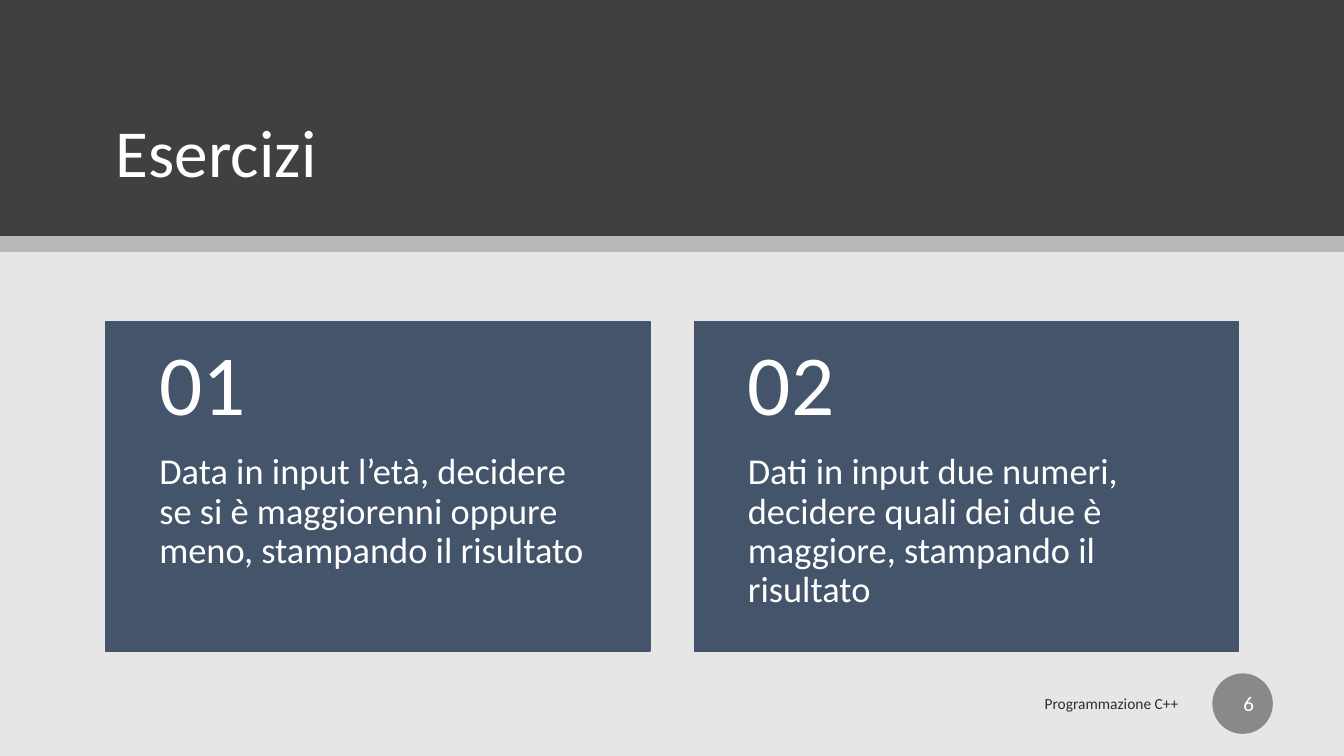
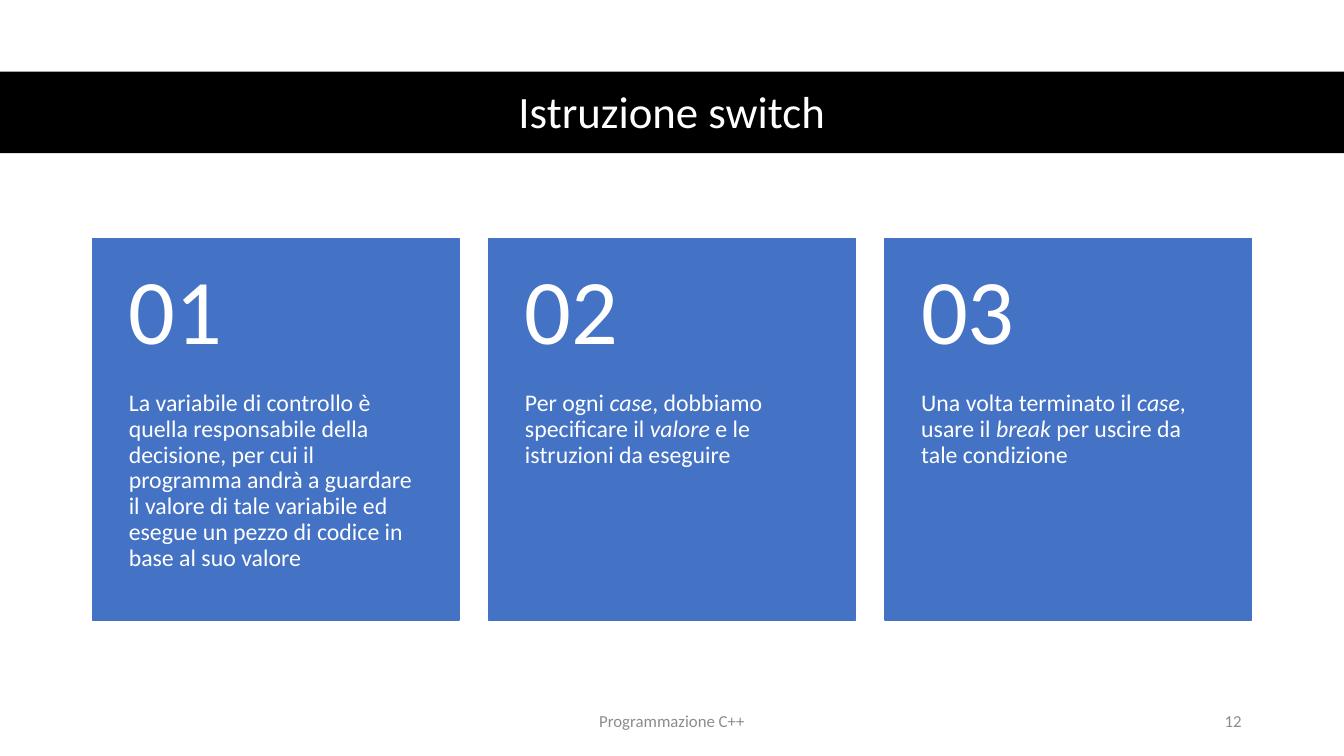
from pptx import Presentation
from pptx.dml.color import RGBColor
from pptx.enum.shapes import MSO_SHAPE as SHAPE
from pptx.enum.text import MSO_ANCHOR as ANCHOR, MSO_AUTO_SIZE as AUTO, PP_ALIGN as ALIGN
from pptx.oxml.ns import qn
from pptx.util import Pt
from lxml import etree

WIDTH, HEIGHT = 960, 540
FONT = "Calibri"
WHITE, BLACK = "FFFFFF", "000000"
PALE, CHARCOAL, GREY = "E7E6E6", "404040", "898989"
SLATE, BLUE = "44546A", "4472C4"
INK, MUTED = "2E2E2E", "8C8C8C"
FOOTER = "Programmazione C++"
INSETS = (7.2, 3.6, 7.2, 3.6)


def rgb(value):
    return RGBColor.from_string(value)


class Deck:
    def __init__(self):
        self.prs = Presentation()
        self.prs.slide_width, self.prs.slide_height = Pt(WIDTH), Pt(HEIGHT)
        self.s = None

    def slide(self):
        self.s = self.prs.slides.add_slide(self.prs.slide_layouts[5])

    def set_text(self, sp, text, size, color=WHITE, align=ALIGN.LEFT,
                 anchor=ANCHOR.MIDDLE, insets=INSETS, spacing=1.0):
        tf = sp.text_frame
        tf.word_wrap, tf.auto_size, tf.vertical_anchor = True, AUTO.NONE, anchor
        tf.margin_left, tf.margin_top, tf.margin_right, tf.margin_bottom = map(Pt, insets)
        p = tf.paragraphs[0]
        p.alignment, p.line_spacing = align, spacing
        for i, part in enumerate(text.split("*")):
            r = p.add_run()
            r.text = part
            if i % 2:
                r.font.italic = True
        p.font.name, p.font.size, p.font.color.rgb = FONT, Pt(size), rgb(color)

    def shape(self, x, y, w, h, fill, line=None, kind=SHAPE.RECTANGLE, opacity=100):
        sp = self.s.shapes.add_shape(kind, Pt(x), Pt(y), Pt(w), Pt(h))
        sp.shadow.inherit = False
        sp.fill.solid()
        sp.fill.fore_color.rgb = rgb(fill)
        if opacity < 100:
            color = sp.element.spPr.find(qn("a:solidFill")).find(qn("a:srgbClr"))
            etree.SubElement(color, qn("a:alpha")).set("val", str(opacity * 1000))
        if line:
            sp.line.color.rgb = rgb(line)
            sp.line.width = Pt(1)
        else:
            sp.line.fill.background()
        return sp

    def band(self, y, h, fill, opacity=100):
        self.shape(0, y, WIDTH, h, fill, opacity=opacity)

    def text(self, x, y, w, h, text, size, **style):
        sp = self.s.shapes.add_textbox(Pt(x), Pt(y), Pt(w), Pt(h))
        self.set_text(sp, text, size, **style)

    def title(self, x, y, w, h, text, size, **style):
        sp = self.s.shapes.title
        sp.left, sp.top, sp.width, sp.height = map(Pt, (x, y, w, h))
        self.s.shapes.element.append(sp.element)
        self.set_text(sp, text, size, spacing=0.9, **style)

    def badge(self, x, y, d, text, size):
        sp = self.shape(x, y, d, d, GREY, kind=SHAPE.OVAL)
        self.set_text(sp, text, size, align=ALIGN.RIGHT)

    def cards(self, x, y, w, h, gap, fill, inset, number_size, body_size, bodies):
        head = 0.4 * h
        for i, body in enumerate(bodies):
            left = x + i * (w + gap)
            self.shape(left, y, w, h, fill, line=fill)
            self.text(left, y + head, w, h - head, body, body_size, anchor=ANCHOR.TOP,
                      insets=(inset, 0, inset, 26), spacing=0.9)
            self.text(left, y, w, head, f"{i + 1:02}", number_size,
                      insets=(inset, 13, inset, 13), spacing=0.9)


def exercises(deck):
    deck.slide()
    deck.band(0, HEIGHT, PALE)
    deck.band(0, 168.5, CHARCOAL)
    deck.title(75.6, 34, 809, 107, "Esercizi", 48, anchor=ANCHOR.BOTTOM)
    deck.band(168.5, 11.5, BLACK, opacity=20)
    deck.text(384, 488, 465, 29, FOOTER, 11, color=INK, align=ALIGN.RIGHT)
    deck.badge(866, 481, 43.2, "6", 15)
    deck.cards(75.6, 229.7, 388.8, 235.4, 31.6, SLATE, 38.2, 61, 26, [
        "Data in input l’età, decidere se si è maggiorenni oppure meno, stampando il risultato",
        "Dati in input due numeri, decidere quali dei due è maggiore, stampando il risultato",
    ])


def switch_statement(deck):
    deck.slide()
    deck.band(51.2, 58.2, BLACK)
    deck.title(66, 53.2, 828, 56.2, "Istruzione switch", 32, align=ALIGN.CENTER)
    deck.text(318, 500.5, 324, 28.8, FOOTER, 12, color=MUTED, align=ALIGN.CENTER)
    deck.text(678, 500.5, 216, 28.8, "12", 12, color=MUTED, align=ALIGN.RIGHT)
    deck.cards(66, 170.5, 262, 272.5, 21, BLUE, 26, 66, 17, [
        "La variabile di controllo è quella responsabile della decisione, per cui il "
        "programma andrà a guardare il valore di tale variabile ed esegue un pezzo di "
        "codice in base al suo valore",
        "Per ogni *case*, dobbiamo specificare il *valore* e le istruzioni da eseguire",
        "Una volta terminato il *case*, usare il *break* per uscire da tale condizione",
    ])


def main():
    deck = Deck()
    exercises(deck)
    switch_statement(deck)
    deck.prs.save("out.pptx")


if __name__ == "__main__":
    main()
